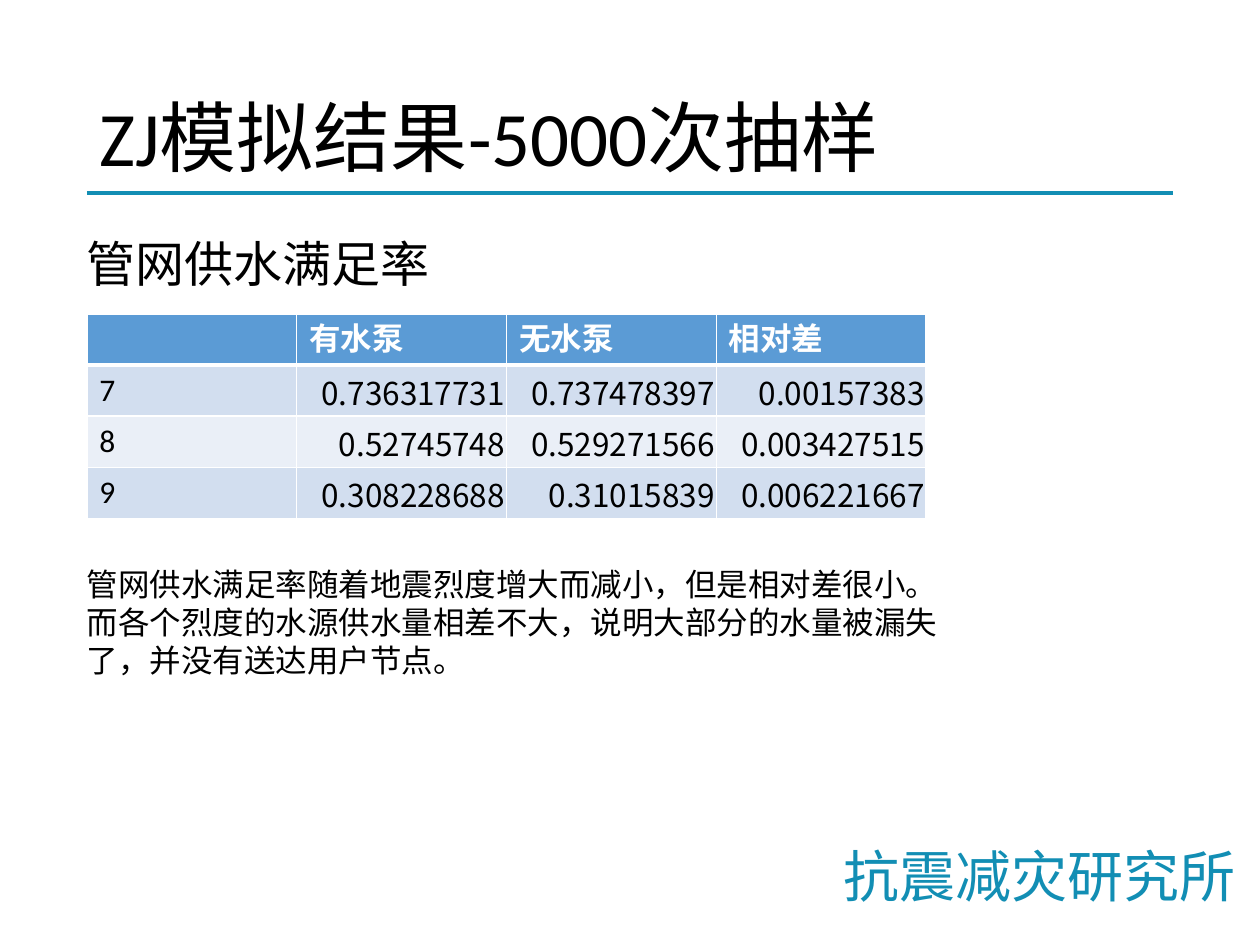
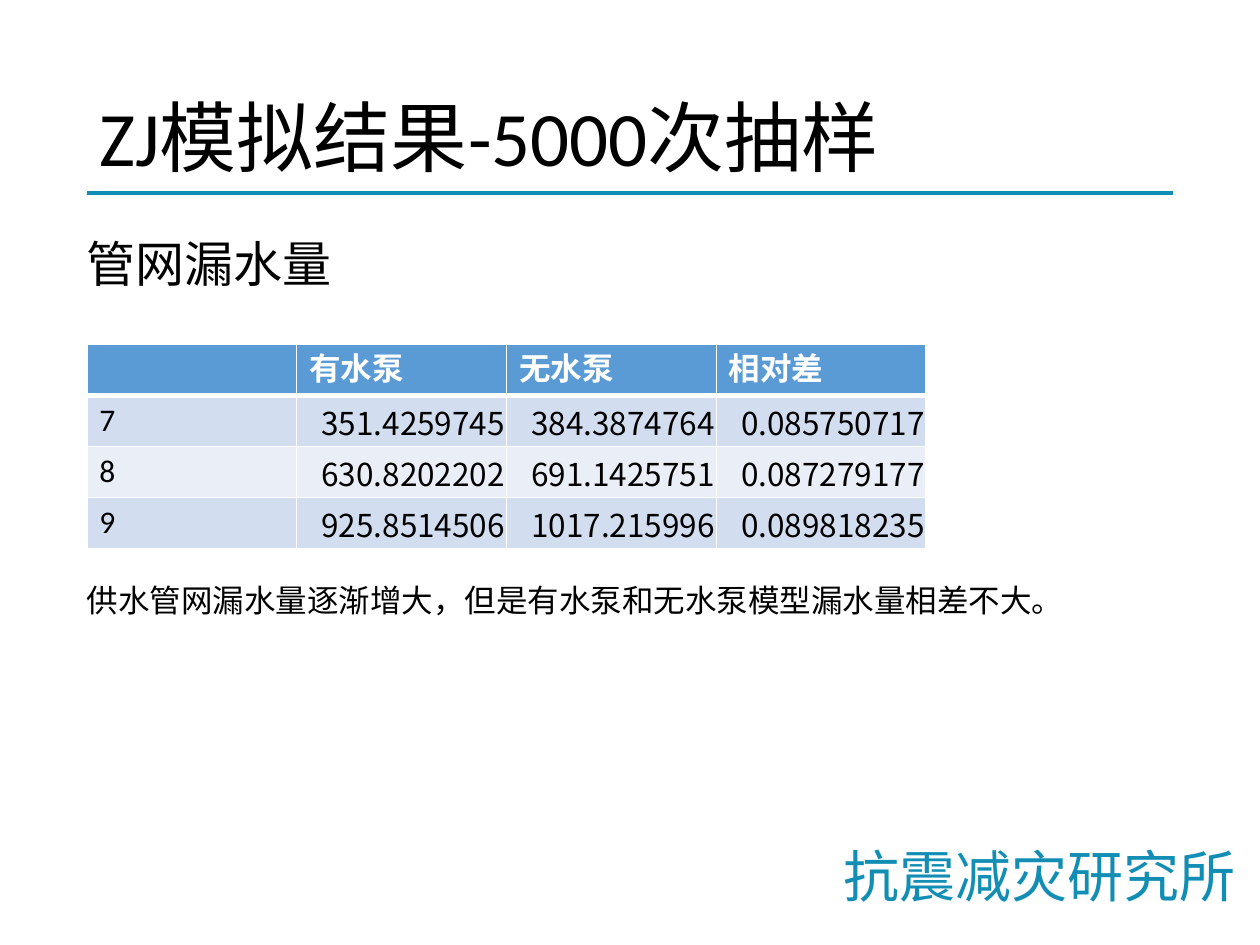
from lxml.etree import SubElement as Sub
from pptx import Presentation
from pptx.dml.color import RGBColor as Rgb
from pptx.enum.shapes import MSO_CONNECTOR as Link
from pptx.enum.text import MSO_ANCHOR as Anchor, MSO_AUTO_SIZE as Fit, PP_ALIGN as Align
from pptx.oxml.ns import qn
from pptx.util import Cm, Pt

HUES = {"teal": "128EB4", "head": "5B9BD5", "odd": "D2DEEF",
        "even": "EAEFF7", "ink": "000000", "white": "FFFFFF"}
LATIN, HAN = "Calibri", "Noto Sans CJK SC"
LEFT, WIDE = 1.75, 21.9
COL, ROW = 4.23, 1.03
HEADS = ["", "有水泵", "无水泵", "相对差"]

RATES = [["7", "0.736317731", "0.737478397", "0.00157383"],
         ["8", "0.52745748", "0.529271566", "0.003427515"],
         ["9", "0.308228688", "0.31015839", "0.006221667"]]
LEAKS = [["7", "351.4259745", "384.3874764", "0.085750717"],
         ["8", "630.8202202", "691.1425751", "0.087279177"],
         ["9", "925.8514506", "1017.215996", "0.089818235"]]


def hue(name):
    """Return the named colour."""
    return Rgb.from_string(HUES[name])


def add_run(para, text, size, color="ink", face=LATIN, bold=False):
    """Add one styled run to a paragraph."""
    run = para.add_run()
    run.text = text
    font = run.font
    font.name, font.size, font.bold = face, Pt(size), bold
    font.color.rgb = hue(color)
    Sub(run._r.get_or_add_rPr(), qn("a:ea"), typeface=LATIN)


def add_text(slide, box, lines, size, wrap=False, **style):
    """Add a text box without margins, one paragraph per line."""
    frame = slide.shapes.add_textbox(*map(Cm, box)).text_frame
    frame.margin_left = frame.margin_right = 0
    frame.margin_top = frame.margin_bottom = 0
    frame.word_wrap = wrap
    frame.auto_size = Fit.SHAPE_TO_FIT_TEXT
    for num, line in enumerate(lines):
        para = frame.add_paragraph() if num else frame.paragraphs[0]
        add_run(para, line, size, **style)


def add_title(slide, text):
    """Add the slide title, centred on its height."""
    frame = slide.shapes.add_textbox(Cm(LEFT), Cm(1.01), Cm(WIDE), Cm(3.68)).text_frame
    frame.word_wrap = True
    frame.vertical_anchor = Anchor.MIDDLE
    para = frame.paragraphs[0]
    para.line_spacing = 0.9
    add_run(para, text, 44)


def add_rule(slide):
    """Draw the line under the title."""
    rule = slide.shapes.add_connector(Link.STRAIGHT, Cm(LEFT), Cm(3.89),
                                      Cm(LEFT + WIDE), Cm(3.89))
    rule.line.color.rgb = hue("teal")
    rule.line.width = Pt(2.25)
    Sub(rule._element.spPr, qn("a:effectLst"))


def add_edges(cell, base):
    """Give a cell white borders, the lower one of the given width."""
    props = cell._tc.get_or_add_tcPr()
    for spot, (side, width) in enumerate(zip("LRTB", (1, 1, 1, base))):
        edge = Sub(props, qn(f"a:ln{side}"), w=str(Pt(width)))
        Sub(Sub(edge, qn("a:solidFill")), qn("a:srgbClr"), val=HUES["white"])
        props.insert(spot, edge)


def fill_cell(cell, text, row, col):
    """Style a cell by its place and write its text."""
    head = row == 0
    cell.fill.solid()
    cell.fill.fore_color.rgb = hue("head" if head else "odd" if row % 2 else "even")
    add_edges(cell, 3 if head else 1)
    para = cell.text_frame.paragraphs[0]
    if head:
        if text:
            add_run(para, text, 18, "white", bold=True)
    elif col == 0:
        add_run(para, text, 18)
    else:
        cell.vertical_anchor = Anchor.MIDDLE
        cell.margin_left = cell.margin_right = cell.margin_top = Cm(0.03)
        cell.margin_bottom = 0
        para.alignment = Align.RIGHT
        add_run(para, text, 18, face=HAN)


def add_grid(slide, top, data):
    """Add the table of results."""
    rows = [HEADS] + data
    size = len(rows), len(HEADS)
    table = slide.shapes.add_table(*size, Cm(LEFT), Cm(top), Cm(COL * size[1]),
                                   Cm(ROW * size[0])).table
    for band in table.columns:
        band.width = Cm(COL)
    for row, line in enumerate(rows):
        table.rows[row].height = Cm(ROW)
        for col, text in enumerate(line):
            fill_cell(table.cell(row, col), text, row, col)


def add_page(deck, topic, width, top, data):
    """Add a slide with the shared frame, a topic and its table."""
    slide = deck.slides.add_slide(deck.slide_layouts[6])
    add_rule(slide)
    add_text(slide, (17, 16.97, 7.97, 1.37), ["抗震减灾研究所"], 32,
             color="teal", face=HAN)
    add_title(slide, "ZJ模拟结果-5000次抽样")
    add_text(slide, (LEFT, 4.7, width, 1.2), [topic], 28)
    add_grid(slide, top, data)
    return slide


def main():
    """Build and save the deck."""
    deck = Presentation()
    deck.slide_width, deck.slide_height = Cm(25.4), Cm(19.05)
    rate = add_page(deck, "管网供水满足率", 6.98, 6.33, RATES)
    add_text(rate, (LEFT, 11.4, 17.22, 2.31),
             ["管网供水满足率随着地震烈度增大而减小，但是相对差很小。",
              "而各个烈度的水源供水量相差不大，说明大部分的水量被漏失了，并没有送达用户节点。"],
             18, wrap=True)
    leak = add_page(deck, "管网漏水量", 4.98, 6.94, LEAKS)
    add_text(leak, (LEFT, 11.71, 19.89, 0.76),
             ["供水管网漏水量逐渐增大，但是有水泵和无水泵模型漏水量相差不大。"], 18)
    deck.save("out.pptx")


if __name__ == "__main__":
    main()
